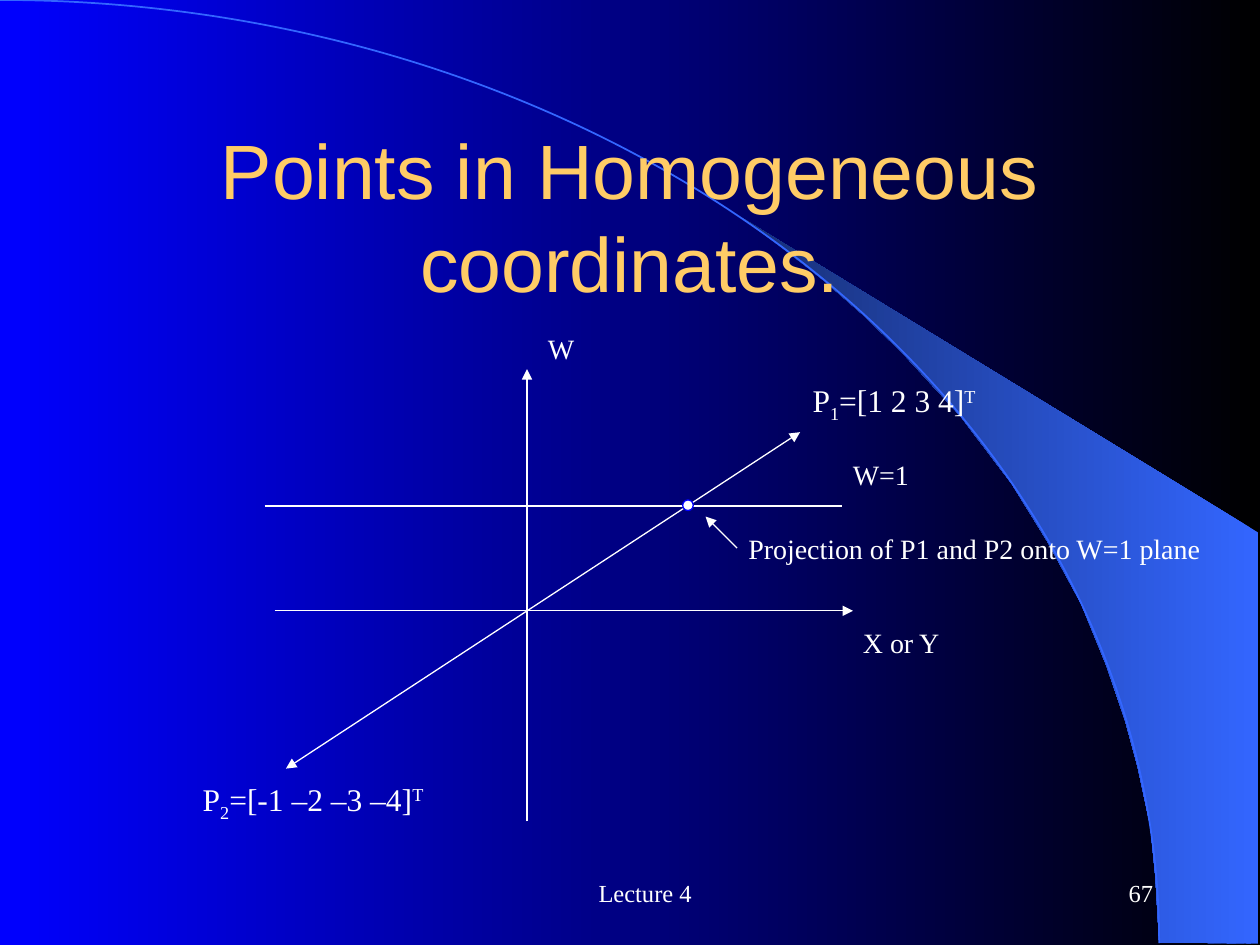
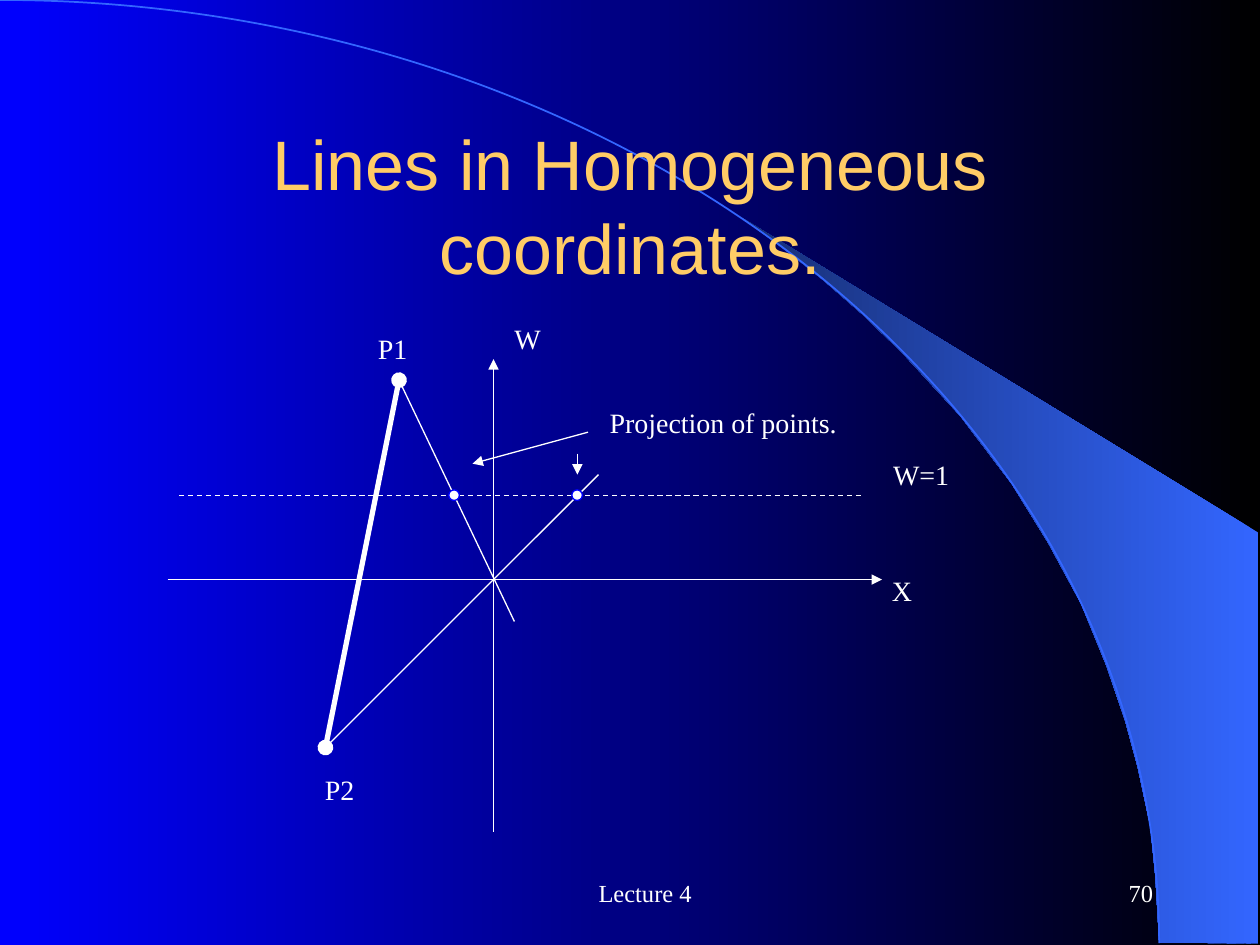
from lxml.etree import SubElement
from pptx import Presentation
from pptx.dml.color import RGBColor
from pptx.enum.dml import MSO_LINE
from pptx.enum.shapes import MSO_CONNECTOR, MSO_SHAPE
from pptx.enum.text import MSO_ANCHOR, MSO_AUTO_SIZE, PP_ALIGN
from pptx.oxml.ns import qn
from pptx.util import Inches, Pt

BLACK = RGBColor(0x00, 0x00, 0x00)
BLUE = RGBColor(0x00, 0x00, 0xFF)
WHITE = RGBColor(0xFF, 0xFF, 0xFF)
GOLD = RGBColor(0xFF, 0xCC, 0x66)
SKY = RGBColor(0x33, 0x66, 0xFF)
NAVY = RGBColor(0x17, 0x2F, 0x75)

COLS, ROWS = 100, 75
SERIF, SANS = "Times New Roman", "Arial"
BEAM = [(92, 74.8), (99.9, 74.9), (99.9, 42.3), (58.9, 17.3), (62.4, 19.9),
        (65.3, 22.2), (68.5, 25), (71.6, 28), (76.2, 33), (80.3, 38.4),
        (83.2, 43.1), (85.8, 47.9), (87.8, 52.8), (89.3, 57.2),
        (90.3, 60.9), (91.3, 65.6), (91.7, 69.6)]


def cells(*counts):
    return [Inches(n / 10) for n in counts]


def fade(fill, right, left):
    fill.gradient()
    fill.gradient_angle = 180
    for stop, color in zip(fill.gradient_stops, (right, left)):
        stop.color.rgb = color


def text(s, content, x, y, w, h=3.7, size=16, font=SERIF, color=WHITE,
         align=PP_ALIGN.LEFT, wrap=False, indent=0):
    tf = s.shapes.add_textbox(*cells(x, y, w, h)).text_frame
    tf.word_wrap = wrap
    tf.margin_left = Inches(0.1 + indent)
    if wrap:
        tf.vertical_anchor = MSO_ANCHOR.MIDDLE
    else:
        tf.margin_right = 0
        tf.auto_size = MSO_AUTO_SIZE.SHAPE_TO_FIT_TEXT
    p = tf.paragraphs[0]
    p.alignment = align
    runs = [(content, 0)] if isinstance(content, str) else content
    for part, baseline in runs:
        r = p.add_run()
        r.text = part
        r.font.size, r.font.name = Pt(size), font
        r.font.color.rgb = color
        if baseline:
            r.font._element.set("baseline", str(baseline * 1000))


def line(s, start, end, head=None, tail=None, width=0.75, dashed=False):
    c = s.shapes.add_connector(MSO_CONNECTOR.STRAIGHT, *cells(*start, *end))
    c.line.color.rgb = WHITE
    c.line.width = Pt(width)
    if dashed:
        c.line.dash_style = MSO_LINE.DASH
    ln = c.line._get_or_add_ln()
    for tag, kind in (("a:headEnd", head), ("a:tailEnd", tail)):
        if kind:
            SubElement(ln, qn(tag), type=kind)
    SubElement(c._element.spPr, qn("a:effectLst"))


def arrow(s, start, end, **fmt):
    line(s, start, end, tail="triangle", **fmt)


def dot(s, cx, cy, radius=0.42):
    sp = s.shapes.add_shape(MSO_SHAPE.OVAL, *cells(
        cx - radius, cy - radius, 2 * radius, 2 * radius))
    sp.shadow.inherit = False
    sp.fill.solid()
    sp.fill.fore_color.rgb = WHITE
    sp.line.color.rgb = BLUE
    sp.line.width = Pt(0.75)


def point_label(s, index, vector, x, y, w):
    text(s, [("P", 0), (index, -25), ("=" + vector, 0), ("T", 30)],
         x, y, w, h=4.4, size=18)


def axes(s, origin, left, right, top, bottom):
    ox, oy = origin
    arrow(s, (left, oy), (right, oy))
    arrow(s, (ox, bottom), (ox, top))
    text(s, "W", ox + 0.67, top - 3.5, 4.1)


def backdrop(s):
    fade(s.background.fill, BLACK, BLUE)
    points = [cells(*point) for point in BEAM]
    builder = s.shapes.build_freeform(*points[0])
    builder.add_line_segments(points[1:], close=True)
    beam = builder.convert_to_shape()
    beam.shadow.inherit = False
    fade(beam.fill, SKY, NAVY)
    beam.line.fill.background()
    arc = s.shapes.add_shape(MSO_SHAPE.ARC, *cells(-92, 0, 184, 149.7))
    arc.shadow.inherit = False
    arc.fill.background()
    arc.line.color.rgb = SKY
    arc.line.width = Pt(1)


def new_slide(prs, title, number, title_top, title_size):
    s = prs.slides.add_slide(prs.slide_layouts[6])
    backdrop(s)
    text(s, title, 7.5, title_top, 85, 10.8, size=title_size, font=SANS,
         color=GOLD, align=PP_ALIGN.CENTER, wrap=True)
    text(s, "Lecture 4", 34.17, 68.33, 31.67, 5, size=14,
         align=PP_ALIGN.CENTER, wrap=True, indent=0.24)
    text(s, number, 71.67, 68.33, 20.83, 5, size=14,
         align=PP_ALIGN.RIGHT, wrap=True, indent=0.24)
    return s


def points_slide(prs):
    s = new_slide(prs, "Points in Homogeneous coordinates.", "67", 11.67, 44)
    axes(s, (41.83, 48.48), left=21.8, right=67.7, top=29.3, bottom=65.2)
    text(s, "X or Y", 67.5, 49.17, 8.1)
    line(s, (21, 40.15), (66.8, 40.15))
    text(s, "W=1", 66.7, 35.8, 6.4)
    arrow(s, (22.7, 61), (63.5, 34.3), head="triangle")
    dot(s, 54.6, 40.1)
    point_label(s, "1", "[1 2 3 4]", 63.5, 29.75, 14.9)
    point_label(s, "2", "[-1 –2 –3 –4]", 15.1, 61.4, 19.5)
    text(s, "Projection of P1 and P2 onto W=1 plane", 58.4, 41.7, 37.9)
    arrow(s, (58.5, 43.5), (56, 41))


def lines_slide(prs):
    s = new_slide(prs, "Lines in Homogeneous coordinates.", "70", 10.8, 40)
    p1, p2 = (31.67, 30.17), (25.83, 59.33)
    axes(s, (39.17, 46), left=13.3, right=70, top=28.5, bottom=66)
    text(s, "X", 69.8, 45, 3.6)
    line(s, p2, p1, head="oval", tail="oval", width=3)
    text(s, "P1", 29, 25.8, 4.3)
    text(s, "P2", 24.8, 60.8, 4.3)
    line(s, (14.2, 39.3), (68.3, 39.3), dashed=True)
    text(s, "W=1", 69.9, 35.8, 6.4)
    line(s, p1, (40.83, 49.33))
    line(s, p2, (47.5, 37.67))
    for cx in (36.04, 45.8):
        dot(s, cx, 39.3)
    text(s, "Projection of points.", 47.4, 31.7, 20)
    arrow(s, (46.67, 34.3), (37.5, 36.8))
    arrow(s, (45.83, 36), (45.83, 37.67))


def main():
    prs = Presentation()
    prs.slide_width, prs.slide_height = cells(COLS, ROWS)
    points_slide(prs)
    lines_slide(prs)
    prs.save("out.pptx")


if __name__ == "__main__":
    main()
